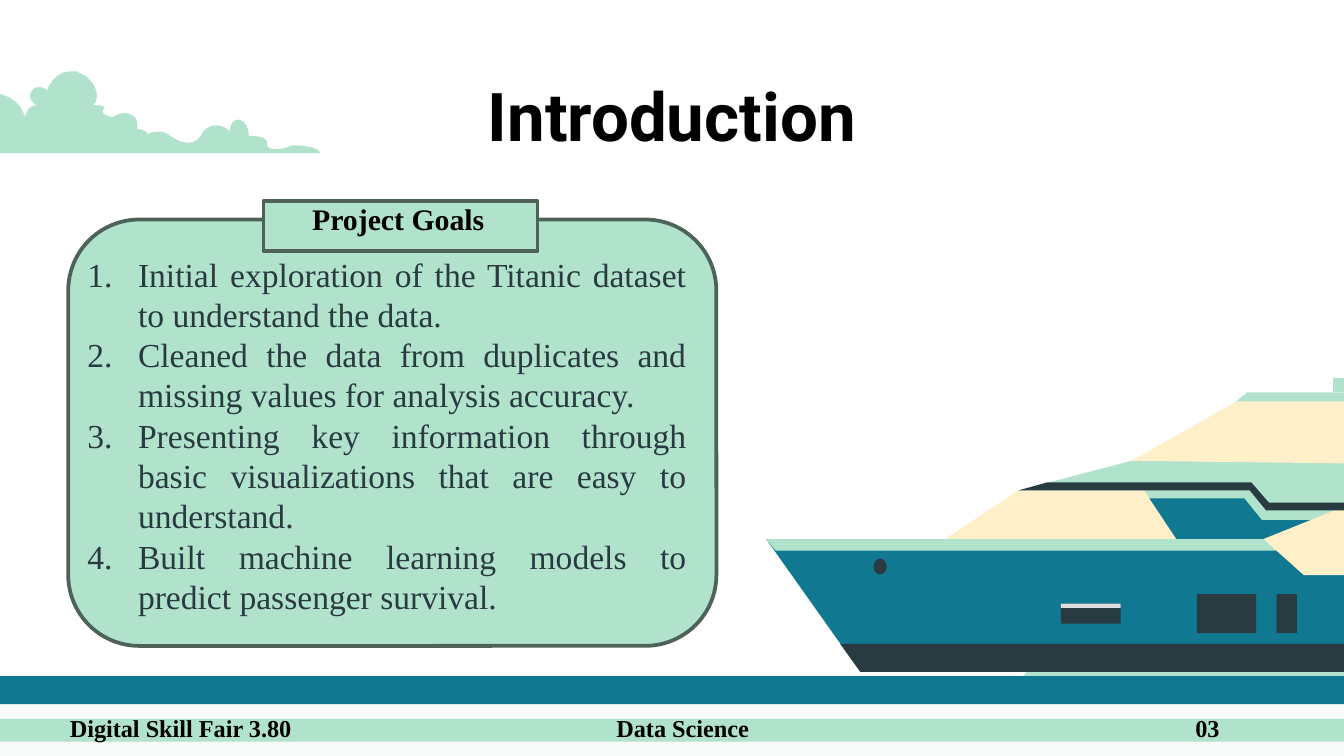
import pptx
import pptx.util
import pptx.dml.color
import pptx.enum.shapes
import pptx.enum.text
from lxml import etree

Cm, Pt = pptx.util.Cm, pptx.util.Pt
RGBColor = pptx.dml.color.RGBColor
SHAPE = pptx.enum.shapes.MSO_SHAPE
ALIGN = pptx.enum.text.PP_ALIGN
ANCHOR = pptx.enum.text.MSO_ANCHOR

MINT = RGBColor(0xB0, 0xE2, 0xCC)
MOSS = RGBColor(0x4D, 0x63, 0x59)
FOAM = RGBColor(0xF8, 0xFB, 0xF9)
TEAL = RGBColor(0x10, 0x79, 0x91)
CREAM = RGBColor(0xFF, 0xF0, 0xCA)
SLATE = RGBColor(0x29, 0x3A, 0x41)
SILVER = RGBColor(0xDD, 0xDD, 0xDD)
BLACK = RGBColor(0, 0, 0)

WIDTH, HEIGHT = 25.4, 14.29
SERIF = "Times New Roman"

GOALS = [
    "Initial exploration of the Titanic dataset to understand the data.",
    "Cleaned the data from duplicates and missing values for analysis accuracy.",
    "Presenting key information through basic visualizations that are easy to understand.",
    "Built machine learning models to predict passenger survival.",
]
# text, left, width
FOOTER = [("Digital Skill Fair 3.80", 1.07, 8), ("Data Science", 11.4, 6), ("03", 22.34, 3)]

# Bézier segments after the start point: two control points and an end point
CLOUD_START = (0, 0.43)
CLOUD_CURVES = [
    ((0, 0.43), (0.36, 0.48), (0.48, 0.86)),
    ((0.48, 0.86), (0.51, 0.64), (0.69, 0.64)),
    ((0.69, 0.64), (0.48, 0.51), (0.61, 0.36)),
    ((0.66, 0.3), (0.71, 0.3), (0.76, 0.3)),
    ((0.84, 0.3), (0.89, 0.36), (0.89, 0.36)),
    ((0.89, 0.36), (1.02, 0), (1.32, 0)),
    ((1.37, 0), (1.4, 0), (1.45, 0)),
    ((1.88, 0.15), (1.9, 0.58), (1.75, 0.64)),
    ((1.83, 0.64), (2.03, 0.64), (1.96, 0.71)),
    ((1.88, 0.81), (2.06, 0.86), (2.13, 0.86)),
    ((2.16, 0.86), (2.24, 0.79), (2.34, 0.79)),
    ((2.39, 0.79), (2.41, 0.79), (2.46, 0.81)),
    ((2.64, 0.86), (2.59, 1.09), (2.59, 1.09)),
    ((2.59, 1.09), (2.77, 1.09), (2.79, 1.19)),
    ((2.79, 1.19), (2.87, 1.14), (3, 1.14)),
    ((3.05, 1.14), (3.1, 1.14), (3.18, 1.19)),
    ((3.28, 1.27), (3.43, 1.35), (3.56, 1.35)),
    ((3.66, 1.35), (3.76, 1.3), (3.81, 1.19)),
    ((3.86, 1.07), (3.99, 1.02), (4.09, 1.02)),
    ((4.19, 1.02), (4.29, 1.07), (4.34, 1.14)),
    ((4.34, 1.14), (4.34, 0.91), (4.52, 0.91)),
    ((4.72, 0.97), (4.7, 1.22), (4.7, 1.22)),
    ((4.78, 1.22), (5.08, 1.22), (5.05, 1.37)),
    ((5.03, 1.45), (5.13, 1.47), (5.21, 1.47)),
    ((5.31, 1.47), (5.41, 1.45), (5.46, 1.42)),
    ((5.46, 1.4), (5.54, 1.4), (5.59, 1.4)),
    ((5.77, 1.4), (6.05, 1.45), (6.05, 1.55)),
]
CLOUD_END = (0, 1.55)

# colour, left, top, width, height
SEA = [
    (FOAM, 0, 12.78, WIDTH, 1.51),
    (TEAL, 0, 12.78, WIDTH, 0.53),
    (MINT, 0, 13.59, WIDTH, 0.43),
]
SHIP = [
    # bridge glass and frame
    (TEAL, [(21.62, 9.27), (24.51, 9.27), (25.4, 9.5), (25.4, 9.91), (24.13, 11.05), (21.95, 10.69)]),
    (MINT, [(23.39, 8.76), (23.65, 9.07), (23.8, 9.07), (23.8, 9.27), (23.95, 9.47), (25.4, 9.47),
            (25.4, 9.83), (23.85, 9.83), (23.52, 9.42), (21.59, 9.42), (21.59, 9.07), (23.22, 9.07)]),
    # lower cabin
    (CREAM, [(21.62, 9.27), (22.23, 10.19), (17.86, 10.19), (19.25, 9.27)]),
    # hull
    (TEAL, [(14.48, 10.19), (23.88, 10.19), (24.66, 10.85), (25.4, 10.85), (25.4, 12.7), (16.26, 12.7)]),
    # upper deck, roof, funnel, upper cabin
    (MINT, [(21.39, 8.71), (25.4, 8.74), (25.4, 9.65), (23.93, 9.65), (23.62, 9.27), (19.25, 9.27)]),
    (MINT, [(23.57, 7.42), (25.4, 7.42), (25.4, 7.75), (23.16, 7.75)]),
    (MINT, [(25.2, 7.14), (25.4, 7.14), (25.4, 7.42), (25.2, 7.42)]),
    (CREAM, [(23.37, 7.59), (25.4, 7.59), (25.4, 8.76), (21.39, 8.71)]),
    # gunwale and stern
    (MINT, [(14.48, 10.19), (23.88, 10.19), (24.16, 10.41), (14.66, 10.41)]),
    (CREAM, [(23.88, 10.19), (25.22, 9.65), (25.4, 9.65), (25.4, 10.87), (24.64, 10.87)]),
    # deck rail and keel
    (SLATE, [(23.65, 9.12), (23.98, 9.5), (25.4, 9.5), (25.4, 9.65), (23.93, 9.65),
             (23.62, 9.27), (19.25, 9.27), (19.79, 9.12)]),
    (SLATE, [(15.88, 12.17), (25.4, 12.17), (25.4, 12.7), (16.26, 12.7)]),
]
WINDOWS = [
    (SLATE, 20.05, 11.41, 1.13, 0.38),
    (SILVER, 20.05, 11.41, 1.13, 0.08),
    (SLATE, 22.62, 11.23, 1.12, 0.74),
    (SLATE, 24.13, 11.23, 0.38, 0.74),
]
PORTHOLE = (SLATE, 16.51, 10.56, 0.25, 0.3)

deck = pptx.Presentation()
deck.slide_width, deck.slide_height = Cm(WIDTH), Cm(HEIGHT)
slide = deck.slides.add_slide(deck.slide_layouts[6])


def paint(shape, fill, outline=None):
    shape.shadow.inherit = False
    shape.fill.solid()
    shape.fill.fore_color.rgb = fill
    if outline is None:
        shape.line.fill.background()
    else:
        shape.line.color.rgb = outline
        shape.line.width = Pt(2)


def add_preset(kind, fill, left, top, width, height, outline=None):
    shape = slide.shapes.add_shape(kind, Cm(left), Cm(top), Cm(width), Cm(height))
    paint(shape, fill, outline)


def add_polygon(fill, points):
    corners = [(Cm(x), Cm(y)) for x, y in points]
    builder = slide.shapes.build_freeform(*corners[0])
    builder.add_line_segments(corners[1:], close=True)
    paint(builder.convert_to_shape(), fill)


def cloud_outline(steps=6):
    """Flatten the cloud's curves into points."""
    points = [CLOUD_START]
    for a, b, end in CLOUD_CURVES:
        start = points[-1]
        for step in range(1, steps + 1):
            t = step / steps
            u = 1 - t
            points.append(tuple(u**3 * p + 3 * u * u * t * q + 3 * u * t * t * r + t**3 * s
                                for p, q, r, s in zip(start, a, b, end)))
    return points + [CLOUD_END]


def add_text(lines, left, top, width, height, size, font=SERIF, color=BLACK, bold=True,
             align=ALIGN.LEFT, anchor=ANCHOR.TOP, inset=0.25):
    frame = slide.shapes.add_textbox(Cm(left), Cm(top), Cm(width), Cm(height)).text_frame
    frame.word_wrap = True
    frame.vertical_anchor = anchor
    frame.margin_top = frame.margin_bottom = Cm(inset)
    frame.text = "\n".join(lines)
    for paragraph in frame.paragraphs:
        paragraph.alignment = align
        paragraph.font.name, paragraph.font.size = font, Pt(size)
        paragraph.font.bold = bold
        paragraph.font.color.rgb = color
    return frame


def number(paragraph):
    properties = paragraph._p.get_or_add_pPr()
    properties.set("marL", str(Cm(0.96)))
    properties.set("indent", str(-Cm(0.96)))
    namespace = "{http://schemas.openxmlformats.org/drawingml/2006/main}"
    bullet = etree.Element(namespace + "buAutoNum", type="arabicPeriod")
    properties.find(namespace + "defRPr").addprevious(bullet)


cloud = cloud_outline()
add_polygon(MINT, [(WIDTH - x, y + 11.23) for x, y in cloud])
add_polygon(MINT, [(x, y + 1.35) for x, y in cloud])
for band in SEA:
    add_preset(SHAPE.RECTANGLE, *band)
for part in SHIP:
    add_polygon(*part)
for window in WINDOWS:
    add_preset(SHAPE.RECTANGLE, *window)
add_preset(SHAPE.OVAL, *PORTHOLE)

for label, left, width in FOOTER:
    add_text([label], left, 13.23, width, 1.06, 13)
add_text(["Introduction"], 2, 1.5, 21.4, 1.32, 36, font="Roboto",
         align=ALIGN.CENTER, anchor=ANCHOR.MIDDLE)

add_preset(SHAPE.ROUNDED_RECTANGLE, MINT, 1.29, 4.15, 12.25, 8.06, MOSS)
add_preset(SHAPE.RECTANGLE, MINT, 4.98, 3.8, 5.18, 0.94, MOSS)
add_text(["Project Goals"], 5.65, 3.67, 4.5, 0.94, 16, inset=0.13)
goals = add_text(GOALS, 1.4, 5.87, 11.83, 4.7, 18, color=SLATE, bold=False,
                 align=ALIGN.JUSTIFY, anchor=ANCHOR.MIDDLE)
for goal in goals.paragraphs:
    number(goal)

deck.save("out.pptx")
